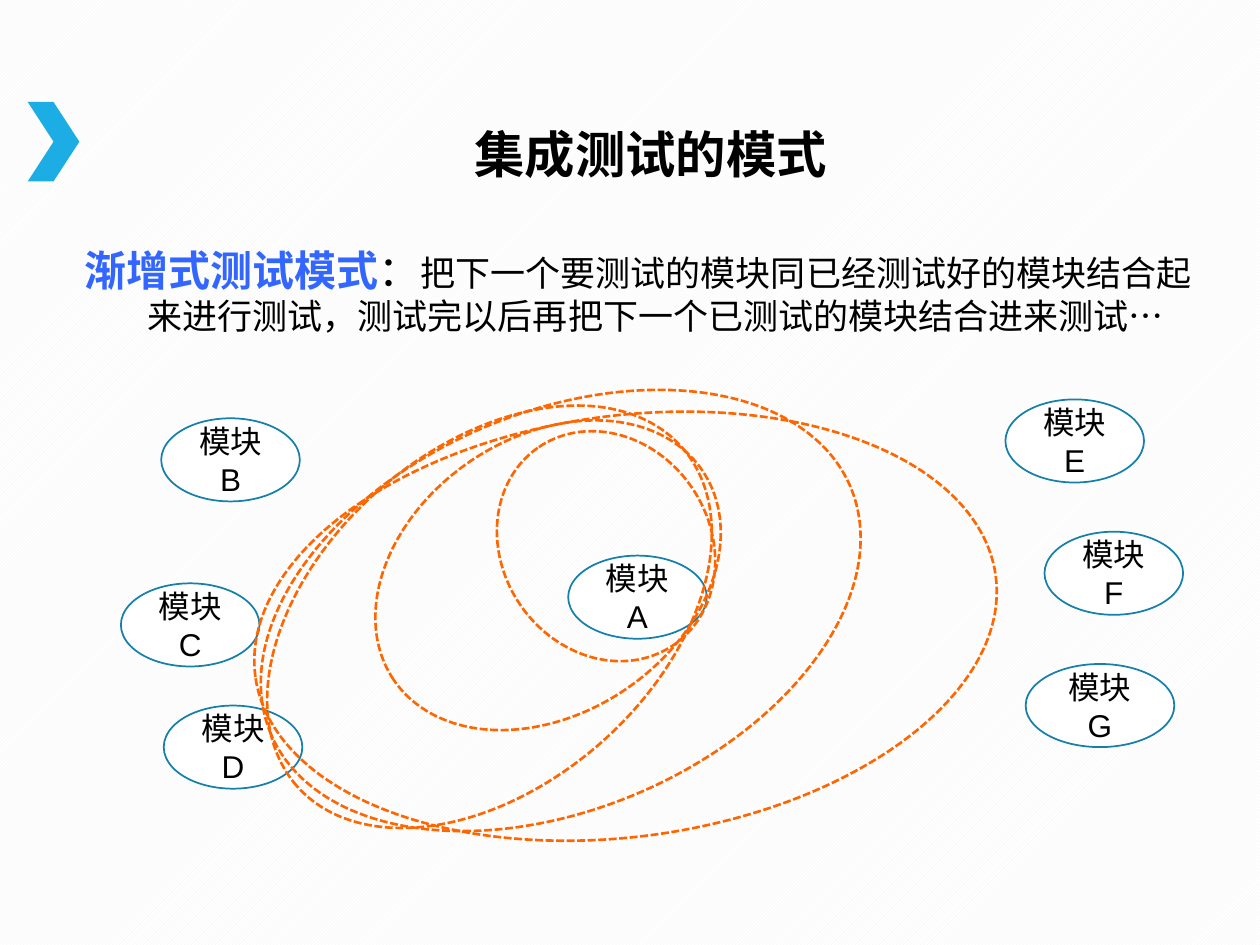
from pptx import Presentation
from pptx.dml.color import RGBColor
from pptx.enum.dml import MSO_LINE, MSO_PATTERN
from pptx.enum.shapes import MSO_SHAPE as Shape
from pptx.enum.text import MSO_ANCHOR as Anchor, MSO_AUTO_SIZE as AutoSize, PP_ALIGN as Align
from pptx.util import Inches, Pt

MODULE_SIZE = (1.1, 0.66)
# name, left, top, width
MODULES = [
    ("A", 4.51, 4.41, 1.1),
    ("B", 1.28, 3.32, 1.1),
    ("C", 0.96, 4.63, 1.1),
    ("D", 1.3, 5.6, 1.1),
    ("G", 8.14, 5.27, 1.18),
    ("F", 8.29, 4.22, 1.1),
    ("E", 7.98, 3.17, 1.1),
]
MODULE_HEIGHT = 0.66
# left, top, width, height, rotation: each ring takes in one more module
RINGS = [
    (3.86, 3.51, 1.9, 1.65, 55.9),
    (2.87, 3.47, 2.96, 2.19, 325.9),
    (1.85, 3.56, 4.07, 2.67, 318.7),
    (1.95, 3.27, 5, 3.15, 336.8),
    (2, 3.3, 5.93, 3.34, 352.2),
]


def color(value):
    return RGBColor.from_string(value)


def add_run(paragraph, text, size, fill="000000", bold=False):
    run = paragraph.add_run()
    run.text = text
    font = run.font
    font.name, font.size, font.bold = "Arial", Pt(size), bold
    font.color.rgb = color(fill)


def add_shape(slide, kind, left, top, width, height, fill=None, line=None, weight=1):
    shape = slide.shapes.add_shape(
        kind, Inches(left), Inches(top), Inches(width), Inches(height))
    shape.shadow.inherit = False
    if fill:
        shape.fill.solid()
        shape.fill.fore_color.rgb = color(fill)
    else:
        shape.fill.background()
    if line:
        shape.line.color.rgb = color(line)
        shape.line.width = Pt(weight)
    else:
        shape.line.fill.background()
    return shape


def set_background(slide):
    fill = slide.background.fill
    fill.patterned()
    fill.pattern = MSO_PATTERN.LIGHT_UPWARD_DIAGONAL
    fill.fore_color.rgb = color("F2F2F2")
    fill.back_color.rgb = color("FFFFFF")


def set_title(slide, text):
    title = slide.shapes.title
    title.left, title.top = Inches(2.17), Inches(0.99)
    title.width, title.height = Inches(5.99), Inches(0.52)
    frame = title.text_frame
    frame.vertical_anchor = Anchor.MIDDLE
    frame.auto_size = AutoSize.NONE
    paragraph = frame.paragraphs[0]
    paragraph.alignment = Align.CENTER
    paragraph.line_spacing = 0.9
    add_run(paragraph, text, 28.8, bold=True)


def add_definition(slide, term, explanation):
    """Add a term and its explanation with a hanging indent."""
    box = slide.shapes.add_textbox(Inches(0.67), Inches(1.94), Inches(8.9), Inches(0.74))
    frame = box.text_frame
    frame.word_wrap = True
    frame.auto_size = AutoSize.SHAPE_TO_FIT_TEXT
    frame.margin_left = frame.margin_right = frame.margin_top = frame.margin_bottom = 0
    paragraph = frame.paragraphs[0]
    properties = paragraph._p.get_or_add_pPr()
    properties.set("marL", str(Inches(0.5)))
    properties.set("indent", str(Inches(-0.5)))
    add_run(paragraph, term, 24, "3366FF", bold=True)
    add_run(paragraph, "：", 24)
    add_run(paragraph, explanation, 20)


def add_module(slide, name, left, top, width):
    shape = add_shape(slide, Shape.OVAL, left, top, width, MODULE_HEIGHT, "FFFFFF", "1580A9")
    frame = shape.text_frame
    frame.word_wrap = True
    frame.vertical_anchor = Anchor.MIDDLE
    for paragraph, text in ((frame.paragraphs[0], "模块"), (frame.add_paragraph(), name)):
        paragraph.alignment = Align.CENTER
        add_run(paragraph, text, 18)


def add_ring(slide, left, top, width, height, rotation):
    ring = add_shape(slide, Shape.OVAL, left, top, width, height, line="FF6600", weight=1.5)
    ring.line.dash_style = MSO_LINE.SQUARE_DOT
    ring.rotation = rotation


def main():
    presentation = Presentation()
    presentation.slide_width, presentation.slide_height = Inches(10), Inches(7.5)
    slide = presentation.slides.add_slide(presentation.slide_layouts[5])
    set_background(slide)
    add_shape(slide, Shape.CHEVRON, 0.22, 0.81, 0.41, 0.63, "1CADE4")
    set_title(slide, "集成测试的模式")
    add_definition(
        slide, "渐增式测试模式",
        "把下一个要测试的模块同已经测试好的模块结合起来进行测试，"
        "测试完以后再把下一个已测试的模块结合进来测试…")
    for module in MODULES:
        add_module(slide, *module)
    for ring in RINGS:
        add_ring(slide, *ring)
    presentation.save("out.pptx")


if __name__ == "__main__":
    main()
